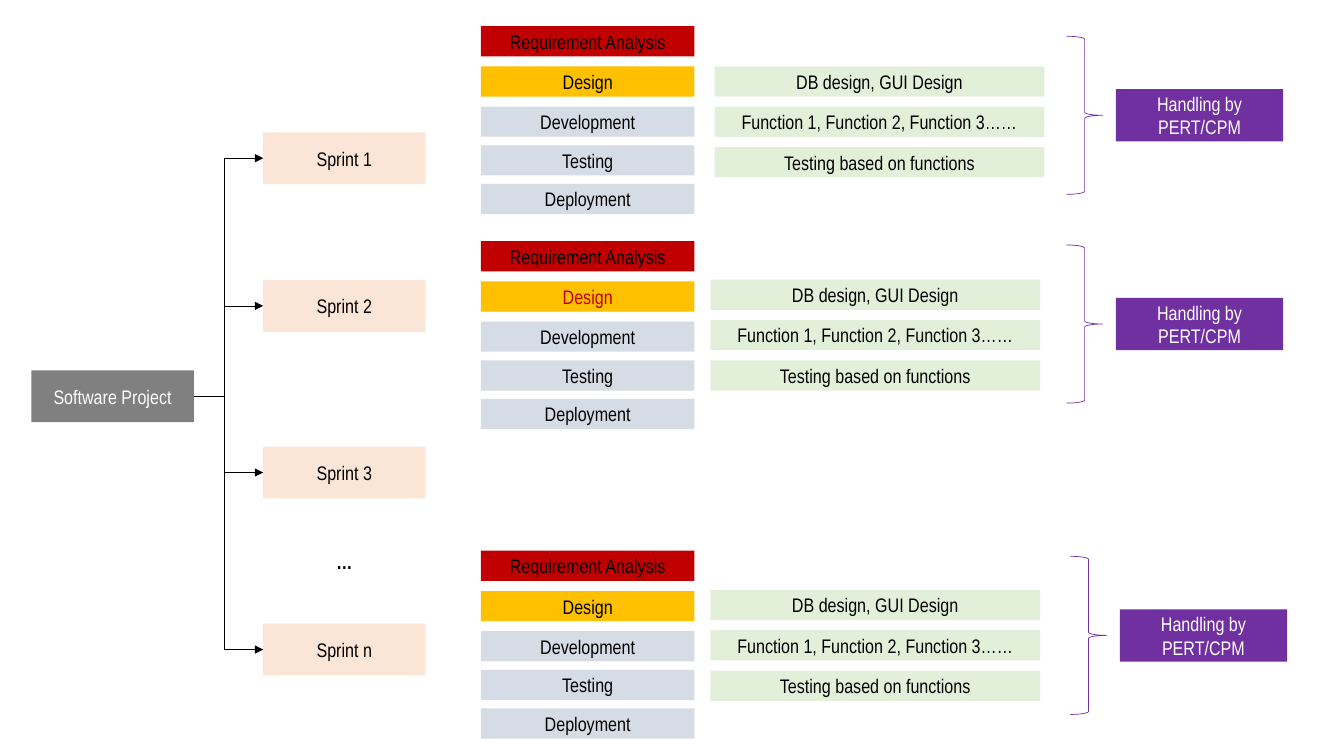
from lxml import etree
from pptx import Presentation
from pptx.dml.color import RGBColor
from pptx.enum import shapes, text
from pptx.oxml import ns
from pptx.util import Pt

BLACK = RGBColor(0x00, 0x00, 0x00)
WHITE = RGBColor(0xFF, 0xFF, 0xFF)
GRAY = RGBColor(0x80, 0x80, 0x80)
PEACH = RGBColor(0xFB, 0xE5, 0xD6)
RED = RGBColor(0xC0, 0x00, 0x00)
AMBER = RGBColor(0xFF, 0xC0, 0x00)
BLUE_GRAY = RGBColor(0xD6, 0xDC, 0xE5)
GREEN = RGBColor(0xE2, 0xF0, 0xD9)
PURPLE = RGBColor(0x70, 0x30, 0xA0)

# Content
PROJECT = "Software Project"
SPRINTS = [("Sprint 1", 94.5), ("Sprint 2", 200), ("Sprint 3", 319), ("Sprint n", 445.5)]
# Phase name, fill, offset from the top of its group
PHASES = [
    ("Requirement Analysis", RED, 0),
    ("Design", AMBER, 28.8),
    ("Development", BLUE_GRAY, 57.4),
    ("Testing", BLUE_GRAY, 85.1),
    ("Deployment", BLUE_GRAY, 112.7),
]
ACTIVITIES = [
    "DB design, GUI Design",
    "Function 1, Function 2, Function 3……",
    "Testing based on functions",
]
HANDLING = "Handling by PERT/CPM"
# One group per detailed sprint: tops and lefts of its parts, colour of "Design"
GROUPS = [
    dict(phase_top=18.7, activity=(510.5, 47.5), brace=(761.8, 25.9), design=BLACK),
    dict(phase_top=172.3, activity=(507.5, 199.8), brace=(761.8, 175), design=RED),
    dict(phase_top=393.4, activity=(507.5, 421.4), brace=(764.6, 397.4), design=BLACK),
]

# Layout, in points
BOX_W, BOX_H = 116, 37
ROW_H = 21.6
SPRINT_LEFT = 188
PHASE_LEFT, PHASE_W = 343.5, 152.6
ACTIVITY_W, ACTIVITY_PITCH = 235.5, 28.8
BRACE_W, BRACE_H = 25.9, 113
HANDLING_W, HANDLING_H, HANDLING_GAP = 119.5, 37.4, 9.4
TRUNK_X = 160.4

deck = Presentation()
deck.slide_width, deck.slide_height = Pt(960), Pt(540)
page = deck.slides.add_slide(deck.slide_layouts[6])


def write(shape, words, color, bold=False):
    frame = shape.text_frame
    frame.text = words
    frame.word_wrap = True
    frame.vertical_anchor = text.MSO_ANCHOR.MIDDLE
    para = frame.paragraphs[0]
    para.alignment = text.PP_ALIGN.CENTER
    font = para.runs[0].font
    font.name, font.size, font.bold = "Arial Narrow", Pt(14), bold
    font.color.rgb = color


def add_box(words, left, top, width, height, fill, color=BLACK):
    box = page.shapes.add_shape(
        shapes.MSO_SHAPE.RECTANGLE, Pt(left), Pt(top), Pt(width), Pt(height))
    box.shadow.inherit = False
    box.fill.solid()
    box.fill.fore_color.rgb = fill
    box.line.fill.background()
    write(box, words, color)
    return box


def add_line(x1, y1, x2, y2, arrow=False):
    line = page.shapes.add_connector(
        shapes.MSO_CONNECTOR.STRAIGHT, Pt(x1), Pt(y1), Pt(x2), Pt(y2))
    line.line.color.rgb = BLACK
    line.line.width = Pt(0.5)
    if arrow:
        etree.SubElement(line.line._get_or_add_ln(), ns.qn("a:tailEnd"), type="triangle")
    etree.SubElement(line._element.spPr, ns.qn("a:effectLst"))
    return line


# Project, its trunk and the sprints
project_left, project_top = 22.5, 264.5
project = add_box(PROJECT, project_left, project_top, BOX_W, BOX_H, GRAY, WHITE)
middle = project_top + BOX_H / 2
stem = add_line(project_left + BOX_W, middle, TRUNK_X, middle)
stem.begin_connect(project, 3)

first, last = (SPRINTS[i][1] + BOX_H / 2 for i in (0, -1))
add_line(TRUNK_X, first, TRUNK_X, last)

for name, top in SPRINTS:
    sprint = add_box(name, SPRINT_LEFT, top, BOX_W, BOX_H, PEACH)
    middle = top + BOX_H / 2
    branch = add_line(TRUNK_X, middle, SPRINT_LEFT, middle, arrow=True)
    branch.end_connect(sprint, 1)

ellipsis = page.shapes.add_textbox(Pt(SPRINT_LEFT), Pt(382.5), Pt(BOX_W), Pt(BOX_H))
write(ellipsis, "…", BLACK, bold=True)

# Phases, activities and handling of each detailed sprint
for group in GROUPS:
    for name, fill, offset in PHASES:
        color = group["design"] if name == "Design" else BLACK
        add_box(name, PHASE_LEFT, group["phase_top"] + offset, PHASE_W, ROW_H, fill, color)

    left, top = group["activity"]
    for row, activity in enumerate(ACTIVITIES):
        add_box(activity, left, top + row * ACTIVITY_PITCH, ACTIVITY_W, ROW_H, GREEN)

    left, top = group["brace"]
    brace = page.shapes.add_shape(
        shapes.MSO_SHAPE.RIGHT_BRACE, Pt(left), Pt(top), Pt(BRACE_W), Pt(BRACE_H))
    brace.shadow.inherit = False
    brace.fill.background()
    brace.line.color.rgb = PURPLE
    brace.line.width = Pt(0.5)
    add_box(HANDLING, left + BRACE_W + HANDLING_GAP, top + (BRACE_H - HANDLING_H) / 2,
            HANDLING_W, HANDLING_H, PURPLE, WHITE)

deck.save("out.pptx")
